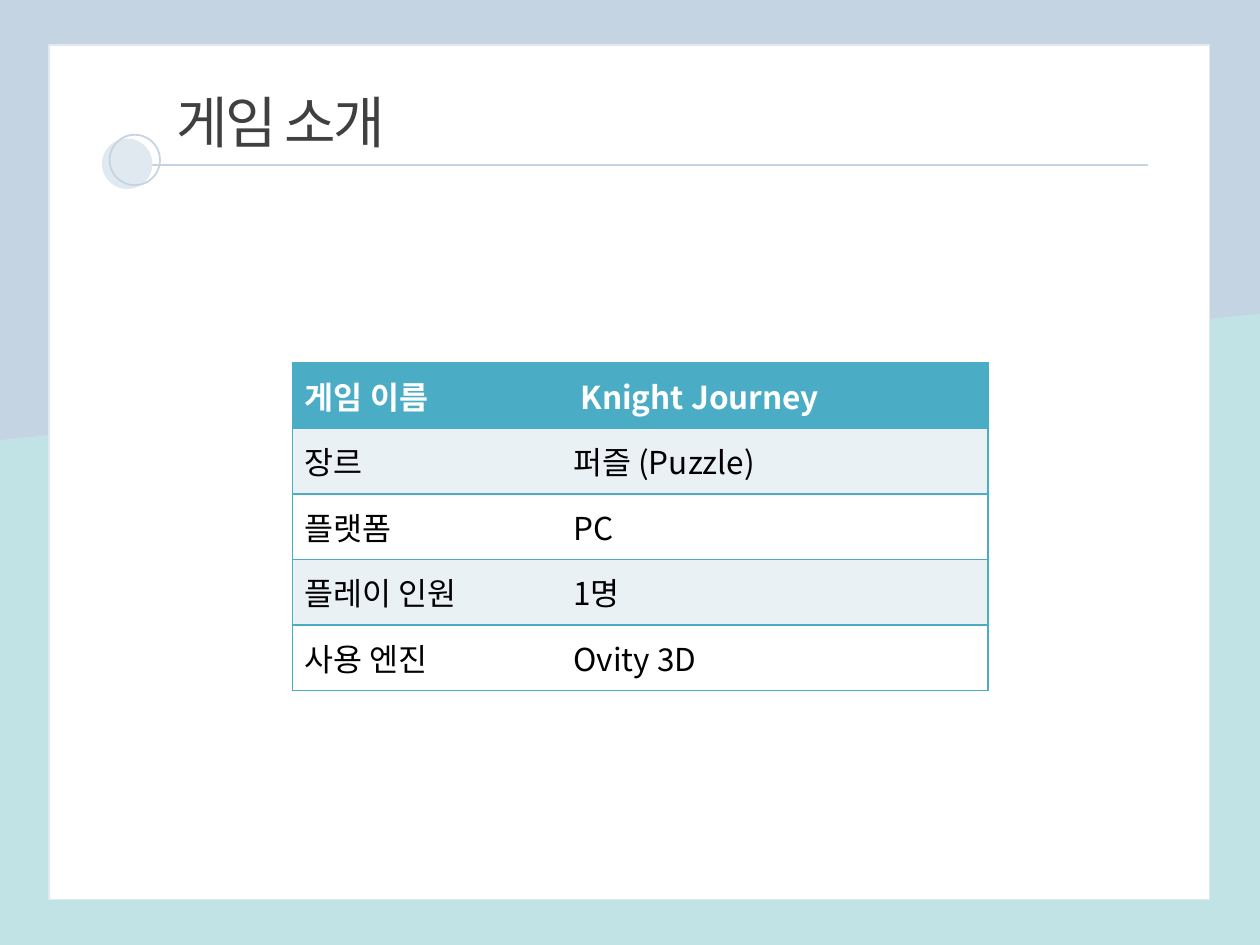
import pptx
import pptx.util
import pptx.dml.color
import pptx.enum.shapes
import pptx.enum.text
import pptx.oxml
import pptx.oxml.ns
from dataclasses import dataclass

Inches = pptx.util.Inches
Shape = pptx.enum.shapes.MSO_SHAPE
Anchor = pptx.enum.text.MSO_ANCHOR


@dataclass(frozen=True)
class Theme:
    font: str = "Noto Sans CJK KR"
    title_size: int = 32
    table_size: int = 18
    sky: str = "C4D4E2"
    mint: str = "C1E3E5"
    pale: str = "E0E8F0"
    white: str = "FFFFFF"
    black: str = "000000"
    title: str = "404040"
    accent: str = "4BACC6"
    band: str = "E9F1F5"


def rgb(value):
    return pptx.dml.color.RGBColor.from_string(value)


def set_attributes(target, values):
    for name, value in values.items():
        setattr(target, name, value)


class SlideBuilder:
    def __init__(self, slide, theme):
        self.slide = slide
        self.theme = theme

    def shape(self, kind, left, top, width, height, fill=None, line=None):
        shape = self.slide.shapes.add_shape(
            kind, Inches(left), Inches(top), Inches(width), Inches(height))
        shape.shadow.inherit = False
        if fill:
            shape.fill.solid()
            shape.fill.fore_color.rgb = rgb(fill)
        else:
            shape.fill.background()
        if line:
            shape.line.color.rgb = rgb(line)
            shape.line.width = pptx.util.Pt(1)
        else:
            shape.line.fill.background()
        return shape

    def rule(self, left, right, y, color, width):
        line = self.slide.shapes.add_connector(
            pptx.enum.shapes.MSO_CONNECTOR.STRAIGHT,
            Inches(left), Inches(y), Inches(right), Inches(y))
        line.line.color.rgb = rgb(color)
        line.line.width = pptx.util.Pt(width)
        line._element.spPr.append(pptx.oxml.parse_xml(
            f"<a:effectLst {pptx.oxml.ns.nsdecls('a')}/>"))

    def add_text(self, paragraph, text, size, color, bold=False):
        run = paragraph.add_run()
        run.text = text
        set_attributes(run.font, {
            "name": self.theme.font, "size": pptx.util.Pt(size), "bold": bold})
        run.font.color.rgb = rgb(color)
        properties = run._r.get_or_add_rPr()
        properties.append(pptx.oxml.parse_xml(
            f'<a:ea {pptx.oxml.ns.nsdecls("a")} typeface="{self.theme.font}"/>'))
        return properties

    def title(self, text, left, top, width, height):
        title = self.slide.shapes.title
        set_attributes(title, {
            "left": Inches(left), "top": Inches(top),
            "width": Inches(width), "height": Inches(height)})
        set_attributes(title.text_frame, {
            "word_wrap": False, "vertical_anchor": Anchor.MIDDLE,
            "auto_size": pptx.enum.text.MSO_AUTO_SIZE.NONE})
        paragraph = title.text_frame.paragraphs[0]
        paragraph.alignment = pptx.enum.text.PP_ALIGN.LEFT
        properties = self.add_text(
            paragraph, text, self.theme.title_size, self.theme.title)
        properties.set("spc", "-150")
        # Bring the title in front of the background
        self.slide.shapes._spTree.append(title._element)

    def border(self, cell, sides):
        properties = cell._tc.get_or_add_tcPr()
        for side in "LRTB":
            paint = (f'<a:solidFill><a:srgbClr val="{self.theme.accent}"/></a:solidFill>'
                     if side in sides else "<a:noFill/>")
            properties.append(pptx.oxml.parse_xml(
                f'<a:ln{side} {pptx.oxml.ns.nsdecls("a")} w="12700">{paint}</a:ln{side}>'))

    def table(self, rows, left, top, widths, row_height):
        theme = self.theme
        table = self.slide.shapes.add_table(
            len(rows), len(widths), Inches(left), Inches(top),
            Inches(sum(widths)), Inches(row_height * len(rows))).table
        for column, width in zip(table.columns, widths):
            column.width = Inches(width)
        for row_index, row in enumerate(rows):
            table.rows[row_index].height = Inches(row_height)
            header = row_index == 0
            banded = theme.band if row_index % 2 else theme.white
            for column_index, text in enumerate(row):
                cell = table.cell(row_index, column_index)
                cell.vertical_anchor = Anchor.MIDDLE
                self.border(cell, "TBR" if column_index else "TBL")
                cell.fill.solid()
                cell.fill.fore_color.rgb = rgb(theme.accent if header else banded)
                self.add_text(cell.text_frame.paragraphs[0], text, theme.table_size,
                              theme.white if header else theme.black, header)


def main():
    presentation = pptx.Presentation()
    presentation.slide_width = Inches(10)
    presentation.slide_height = Inches(7.5)
    theme = Theme()
    slide = presentation.slides.add_slide(presentation.slide_layouts[5])
    builder = SlideBuilder(slide, theme)

    # Two-colour background and white sheet
    builder.shape(Shape.RECTANGLE, 0, 0, 10, 7.5, theme.sky)
    builder.shape(Shape.FLOWCHART_MANUAL_INPUT, 0, 2.49, 10, 5.01, theme.mint)
    sheet = builder.shape(Shape.ROUNDED_RECTANGLE, 0.39, 0.36, 9.21, 6.78,
                          theme.white, theme.pale)
    sheet.adjustments[0] = 0

    # Title with its rule and circles
    builder.rule(0.89, 9.11, 1.31, theme.sky, 1.5)
    builder.shape(Shape.OVAL, 0.81, 1.1, 0.4, 0.4, fill=theme.pale)
    builder.shape(Shape.OVAL, 0.87, 1.07, 0.4, 0.4, line=theme.sky)
    builder.title("게임 소개", 1.3, 0.64, 1.99, 0.64)

    # Game facts
    builder.table([
        ("게임 이름", " Knight Journey"),
        ("장르", "퍼즐 (Puzzle)"),
        ("플랫폼", "PC"),
        ("플레이 인원", "1명"),
        ("사용 엔진", "Ovity 3D"),
    ], 2.32, 2.88, (2.13, 3.39), 0.52)

    presentation.save("out.pptx")


if __name__ == "__main__":
    main()
